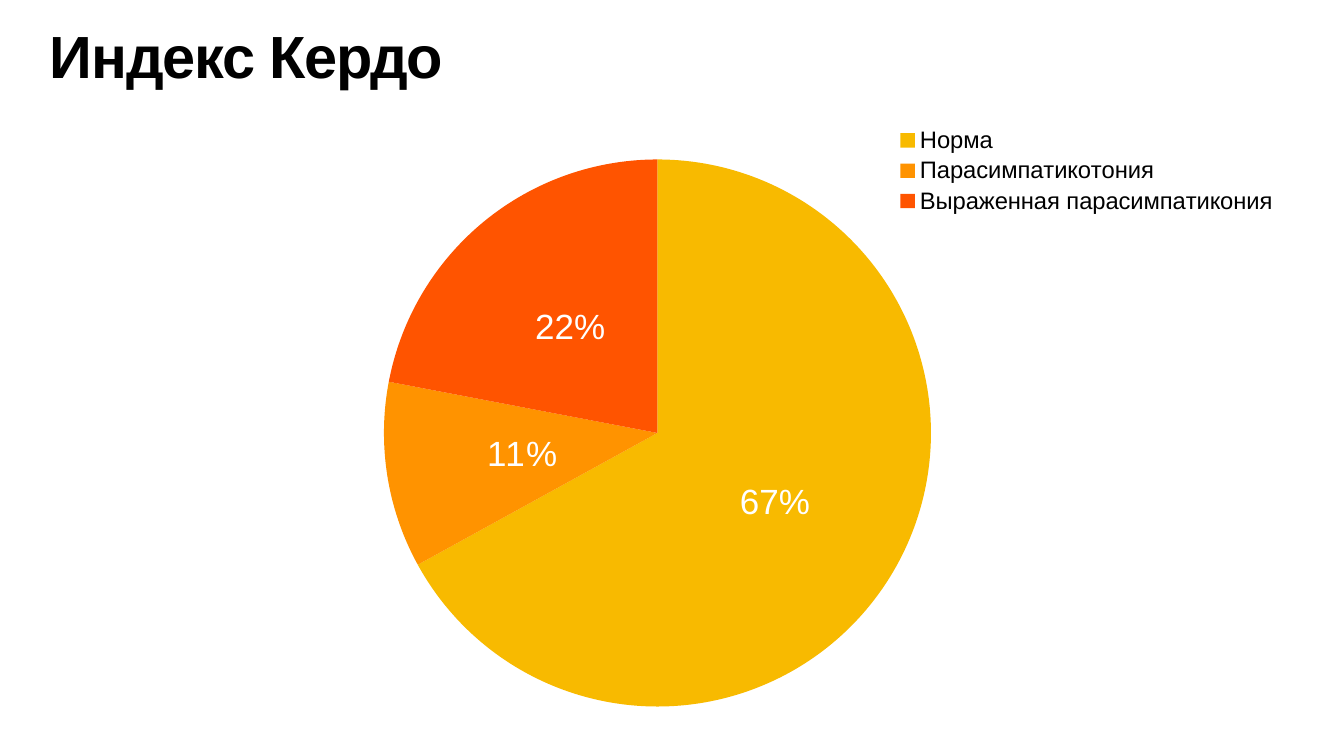
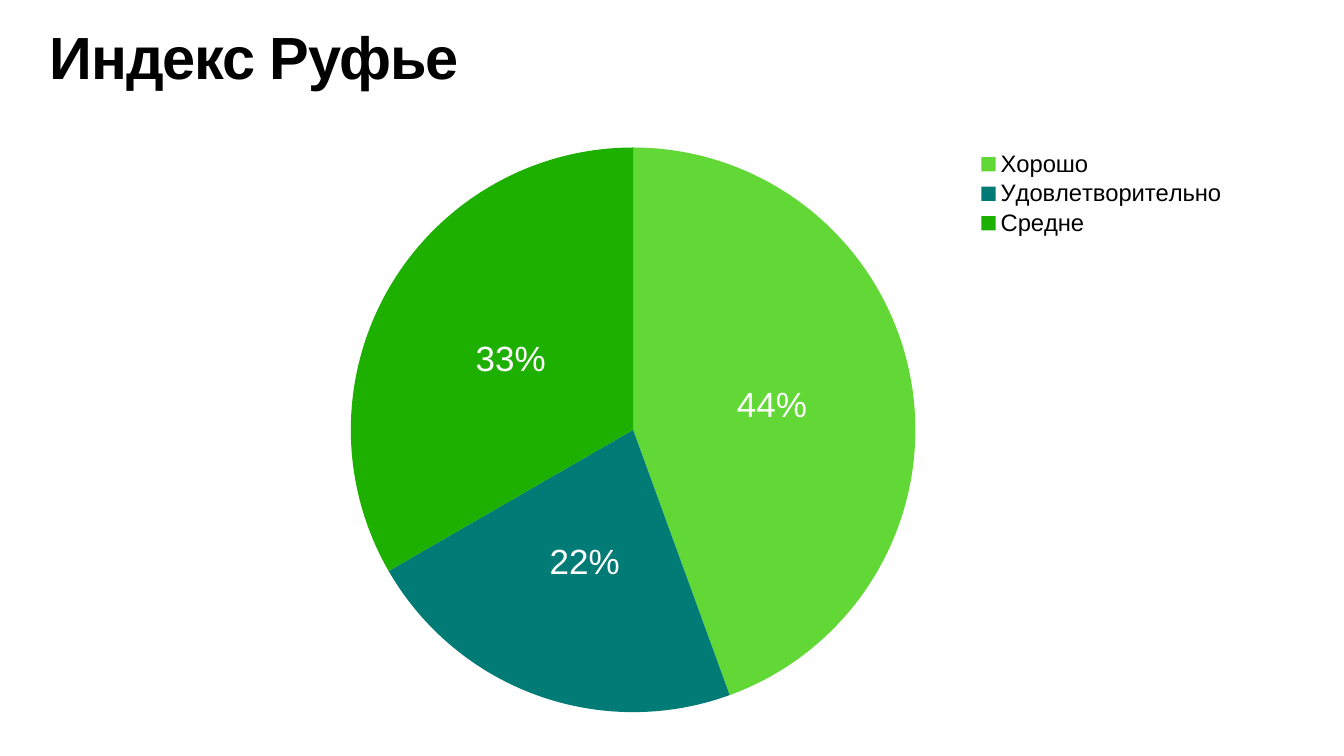
from lxml import etree
from pptx import Presentation
from pptx import util as u
from pptx.chart.data import CategoryChartData
from pptx.dml.color import RGBColor
from pptx.enum import chart as charts, text
from pptx.oxml.ns import qn

FONT = "Arial"
BLACK, WHITE, GREY = "000000", "FFFFFF", "5E5E5E"


def color(value):
    return RGBColor.from_string(value)


def style_font(font, size, value):
    font.name = FONT
    font.size = u.Pt(size)
    font.color.rgb = color(value)


def place(parent, index, bounds, inner=False):
    """Give a chart part a manual layout; bounds are fractions of the chart: x, y, w, h."""
    for old in parent.findall(qn("c:layout")):
        parent.remove(old)
    layout = etree.Element(qn("c:layout"))
    manual = etree.SubElement(layout, qn("c:manualLayout"))
    settings = [("layoutTarget", "inner")] if inner else []
    settings += [("xMode", "edge"), ("yMode", "edge"), *zip("xywh", bounds)]
    for name, value in settings:
        etree.SubElement(manual, qn("c:" + name)).set("val", str(value))
    parent.insert(index, layout)


class IndexDeck:
    def __init__(self):
        self.deck = Presentation()
        self.deck.slide_width = u.Inches(26.67)
        self.deck.slide_height = u.Inches(15)
        self.page = None

    def add_page(self):
        self.page = self.deck.slides.add_slide(self.deck.slide_layouts[6])
        fill = self.page.background.fill
        fill.solid()
        fill.fore_color.rgb = color(WHITE)

    def add_title(self, wording, top):
        box = self.page.shapes.add_textbox(
            u.Inches(0.93), u.Inches(top), u.Inches(24.03), u.Inches(1.57))
        frame = box.text_frame
        frame.text = wording
        frame.word_wrap = True
        frame.vertical_anchor = text.MSO_ANCHOR.TOP
        frame.margin_left = frame.margin_right = u.Inches(0.06)
        frame.margin_top = frame.margin_bottom = u.Inches(0.06)
        para = frame.paragraphs[0]
        para.line_spacing = 0.8
        span = para.runs[0]
        style_font(span.font, 85, BLACK)
        span.font.bold = True
        span.font._element.set("spc", "-170")

    def add_pie(self, bounds, slices, plot_bounds, legend_bounds):
        """Draw a pie; slices are (label, value, colour) triples."""
        labels, values, fills = zip(*slices)
        data = CategoryChartData()
        data.categories = labels
        data.add_series("Series 1", values)
        chart = self.page.shapes.add_chart(
            charts.XL_CHART_TYPE.PIE, *map(u.Inches, bounds), data).chart
        chart.has_title = False
        style_font(chart.font, 10, GREY)

        plot = chart.plots[0]
        plot.vary_by_categories = False
        series = plot.series[0]
        series.format.fill.solid()
        series.format.fill.fore_color.rgb = color(fills[0])
        for index, value in enumerate(fills):
            look = series.points[index].format
            look.fill.solid()
            look.fill.fore_color.rgb = color(value)
            look.line.fill.background()

        percents = series.data_labels
        percents.show_percentage = True
        percents.show_value = False
        percents.number_format = "#,##0%"
        percents.number_format_is_linked = False
        percents.position = charts.XL_LABEL_POSITION.CENTER
        style_font(percents.font, 50, WHITE)

        chart.has_legend = True
        legend = chart.legend
        legend.position = charts.XL_LEGEND_POSITION.RIGHT
        legend.include_in_layout = True
        style_font(legend.font, 34, BLACK)
        place(legend._element, 1, legend_bounds)
        place(chart._chartSpace.chart.plotArea, 0, plot_bounds, inner=True)


def main():
    show = IndexDeck()

    show.add_page()
    show.add_pie(
        (7.45, 2.45, 19.57, 11.71),
        [("Норма", 67, "F8BA00"),
         ("Парасимпатикотония", 11, "FF9300"),
         ("Выраженная парасимпатикония", 22, "FF5400")],
        plot_bounds=(0.005, 0.061, 0.562, 0.927),
        legend_bounds=(0.526, 0, 0.39, 0.16))
    show.add_title("Индекс Кердо", 0.59)

    show.add_page()
    show.add_pie(
        (6.8, 2.87, 17.9, 11.34),
        [("Хорошо", 44, "61D836"),
         ("Удовлетворительно", 22, "007B76"),
         ("Средне", 33, "1EB001")],
        plot_bounds=(0.005, 0.005, 0.634, 0.988),
        legend_bounds=(0.701, 0.006, 0.28, 0.16))
    show.add_title("Индекс Руфье", 0.62)

    show.deck.save("out.pptx")


if __name__ == "__main__":
    main()
